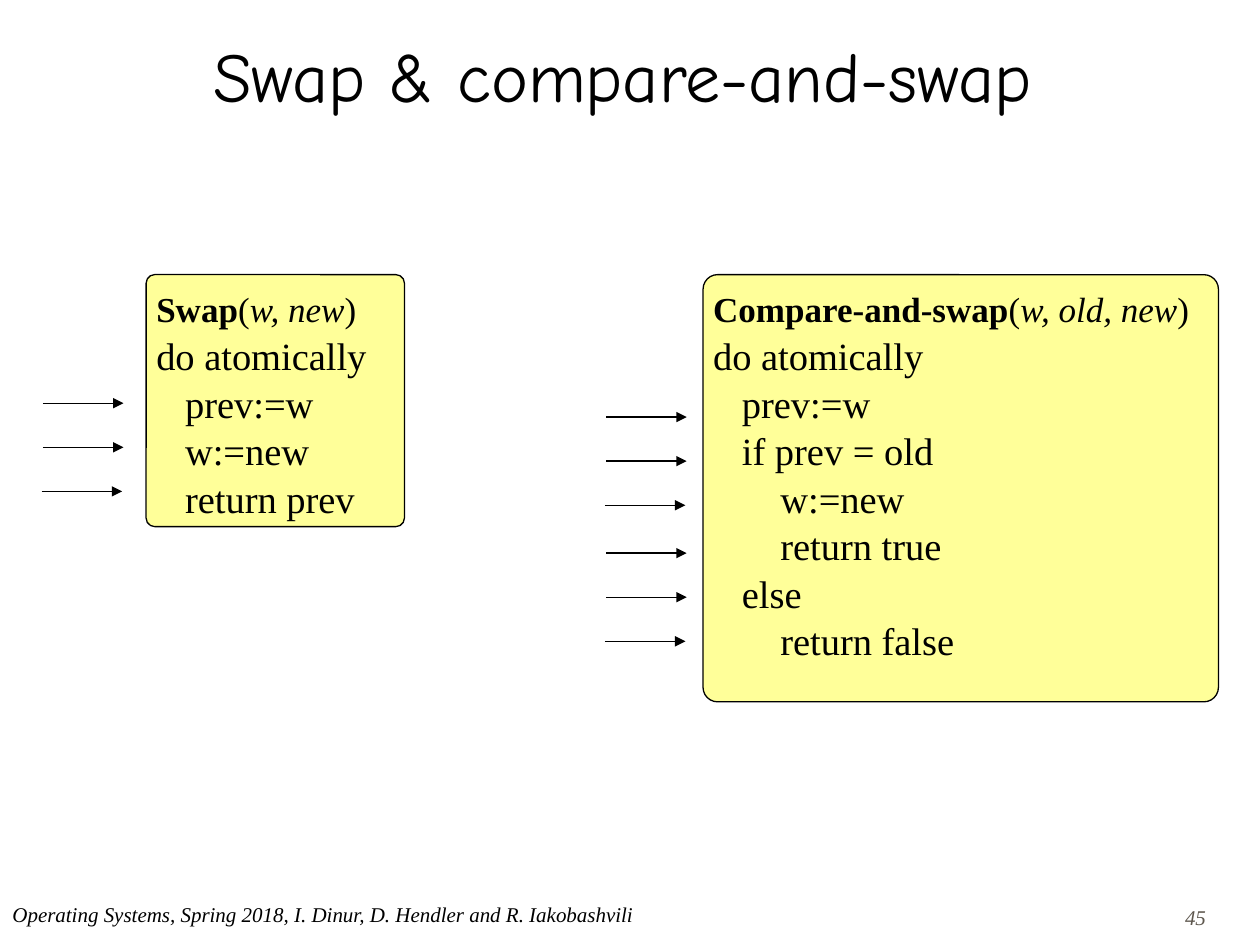
import pptx
import pptx.util
import pptx.dml.color
import pptx.enum.shapes
import pptx.enum.text
import pptx.oxml.ns
from lxml import etree

Inches = pptx.util.Inches
Pt = pptx.util.Pt
RGBColor = pptx.dml.color.RGBColor
Align = pptx.enum.text.PP_ALIGN
Anchor = pptx.enum.text.MSO_ANCHOR

BLACK = RGBColor(0x00, 0x00, 0x00)
GREY = RGBColor(0x5E, 0x57, 0x4E)
YELLOW = RGBColor(0xFF, 0xFF, 0x99)
BODY_FONT = "Times New Roman"
TITLE_FONT = "Comic Neue"

SWAP_LINES = ["do atomically", "   prev:=w", "   w:=new", "   return prev"]
COMPARE_LINES = [
    "do atomically",
    "   prev:=w",
    "   if prev = old",
    "       w:=new",
    "       return true",
    "   else",
    "       return false",
]


def add_span(para, text, size, font=BODY_FONT, color=BLACK, bold=False, italic=False):
    span = para.add_run()
    span.text = text
    span.font.name = font
    span.font.size = Pt(size)
    span.font.color.rgb = color
    span.font.bold = bold
    span.font.italic = italic


def add_label(page, left, top, width, height, text, size, align=Align.LEFT,
              anchor=Anchor.TOP, **style):
    box = page.shapes.add_textbox(Inches(left), Inches(top), Inches(width), Inches(height))
    frame = box.text_frame
    frame.word_wrap = True
    frame.vertical_anchor = anchor
    para = frame.paragraphs[0]
    para.alignment = align
    add_span(para, text, size, **style)


def add_code_panel(page, left, top, width, height, text_width, text_height,
                   name, arguments, lines):
    """Draw a rounded panel with a bold procedure name above its code lines."""
    panel = page.shapes.add_shape(
        pptx.enum.shapes.MSO_SHAPE.ROUNDED_RECTANGLE,
        Inches(left), Inches(top), Inches(width), Inches(height))
    panel.adjustments[0] = 0.034
    panel.shadow.inherit = False
    panel.fill.solid()
    panel.fill.fore_color.rgb = YELLOW
    panel.line.color.rgb = BLACK
    panel.line.width = Pt(0.75)

    box = page.shapes.add_textbox(Inches(left + 0.08), Inches(top + 0.13),
                                  Inches(text_width), Inches(text_height))
    frame = box.text_frame
    frame.word_wrap = True
    frame.margin_left = frame.margin_right = 0
    frame.margin_top = frame.margin_bottom = 0
    heading = frame.paragraphs[0]
    heading.line_spacing = 0.95
    add_span(heading, name, 20, bold=True)
    add_span(heading, "(", 20)
    add_span(heading, arguments, 20, italic=True)
    add_span(heading, ")", 20)
    for line in lines:
        para = frame.add_paragraph()
        para.line_spacing = 1.03
        add_span(para, line, 22)


def add_step_arrows(page, left, top):
    """Draw three arrows, one for each of three successive code lines."""
    for step, shift in enumerate((0, 0, -0.01)):
        start = Inches(left + shift)
        height = Inches(top + 0.35 * step)
        arrow = page.shapes.add_connector(
            pptx.enum.shapes.MSO_CONNECTOR.STRAIGHT,
            start, height, start + Inches(0.64), height)
        arrow.line.color.rgb = BLACK
        arrow.line.width = Pt(0.75)
        outline = arrow.line._get_or_add_ln()
        etree.SubElement(outline, pptx.oxml.ns.qn("a:tailEnd"), type="triangle")
        etree.SubElement(arrow._element.spPr, pptx.oxml.ns.qn("a:effectLst"))


def add_footer(page):
    add_label(page, 7.67, 7.13, 2, 0.3, "45", 12, align=Align.RIGHT,
              color=GREY, italic=True)
    add_label(page, 0, 7.11, 7.58, 0.5,
              "Operating Systems, Spring 2018, I. Dinur, D. Hendler and R. Iakobashvili",
              12, italic=True)


def main():
    deck = pptx.Presentation()
    deck.slide_width = Inches(10)
    deck.slide_height = Inches(7.5)
    page = deck.slides.add_slide(deck.slide_layouts[6])

    add_footer(page)
    add_code_panel(page, 5.58, 2.18, 4.09, 3.39, 4.46, 2.96,
                   "Compare-and-swap", "w, old, new", COMPARE_LINES)
    add_step_arrows(page, 4.81, 3.31)
    add_step_arrows(page, 4.81, 4.39)
    add_label(page, -0.12, -0.03, 10.12, 1.25, "Swap & compare-and-swap", 40,
              align=Align.CENTER, anchor=Anchor.MIDDLE, font=TITLE_FONT)
    add_code_panel(page, 1.16, 2.18, 2.05, 2, 2.11, 1.83,
                   "Swap", "w, new", SWAP_LINES)
    add_step_arrows(page, 0.34, 3.2)

    deck.save("out.pptx")


if __name__ == "__main__":
    main()
